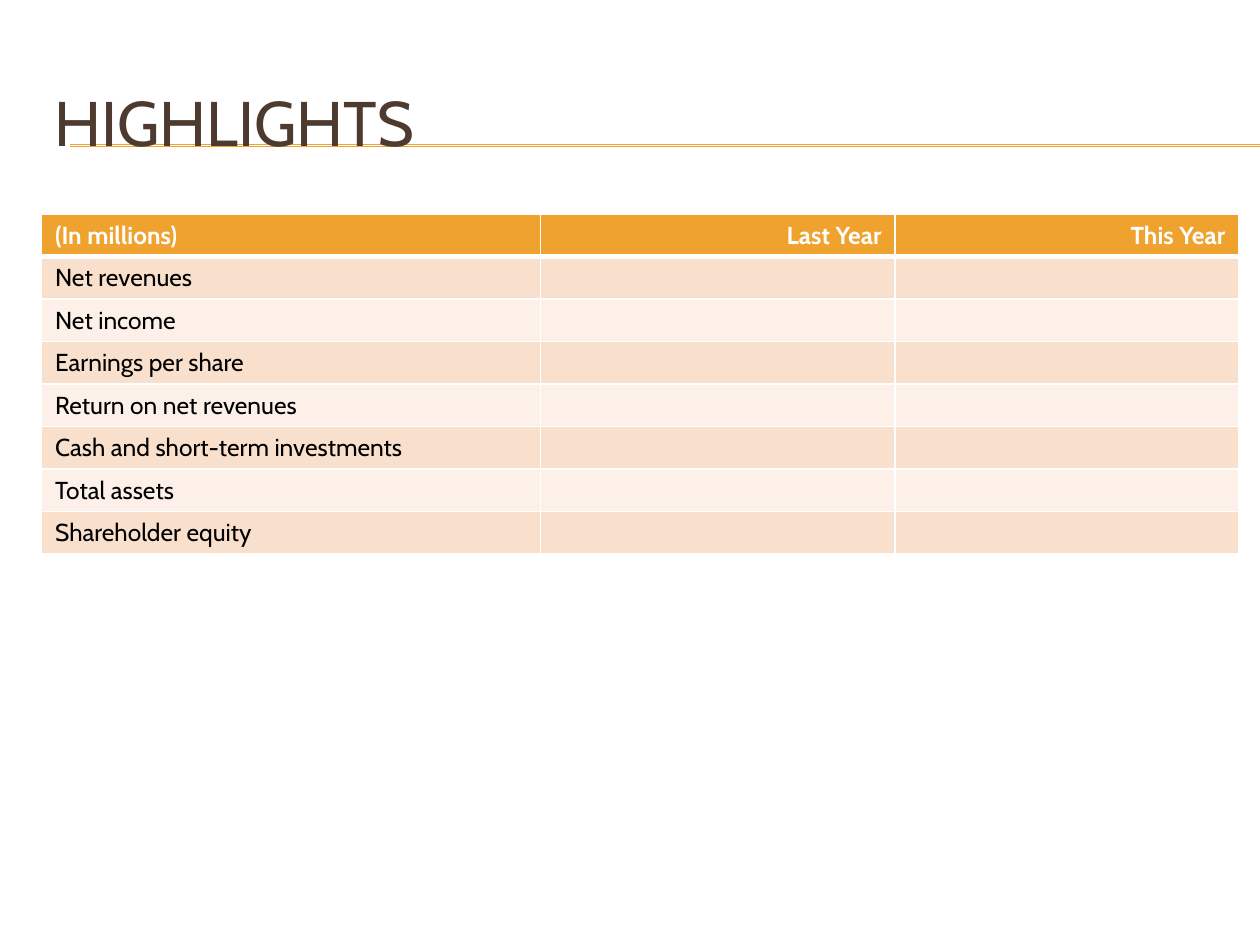
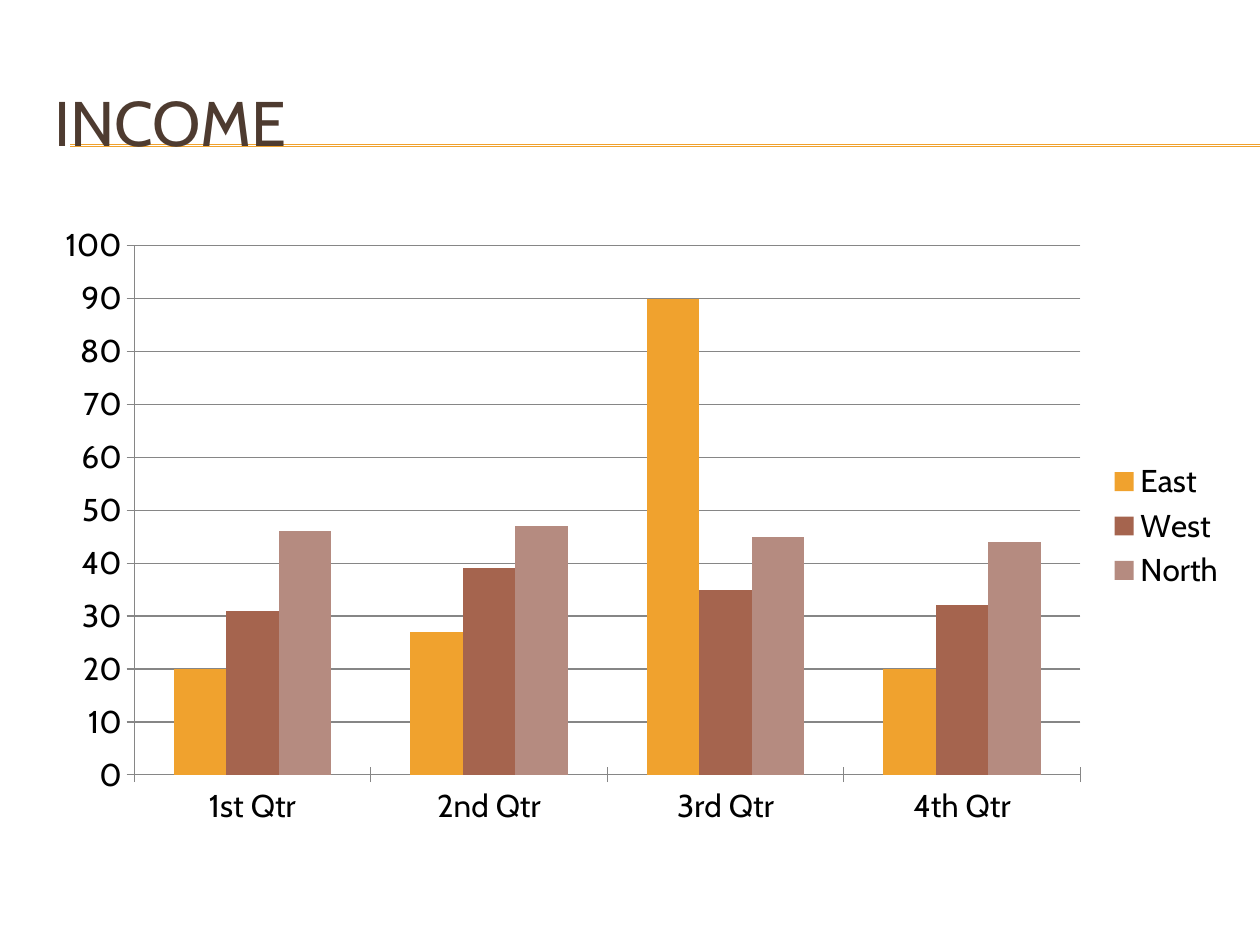
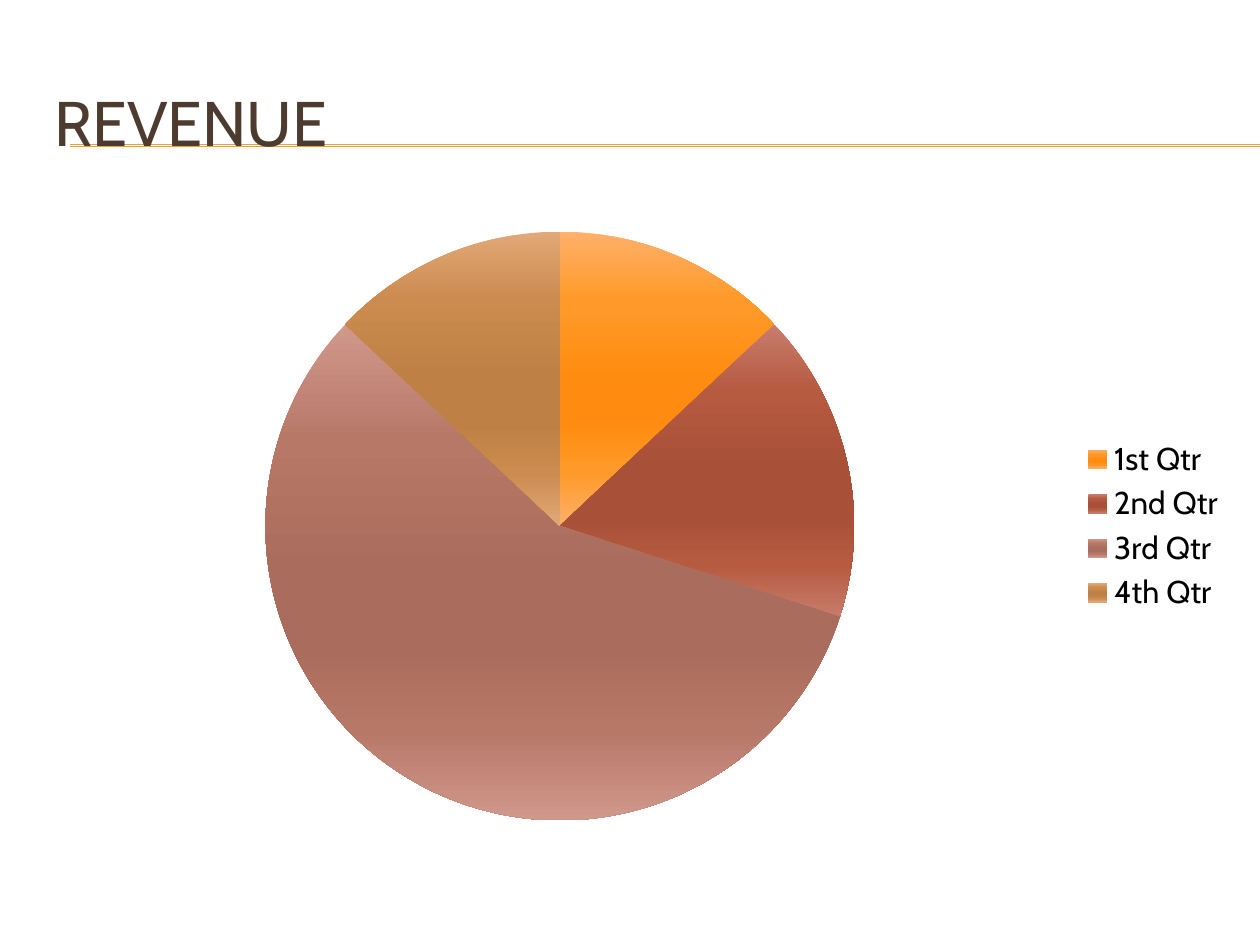
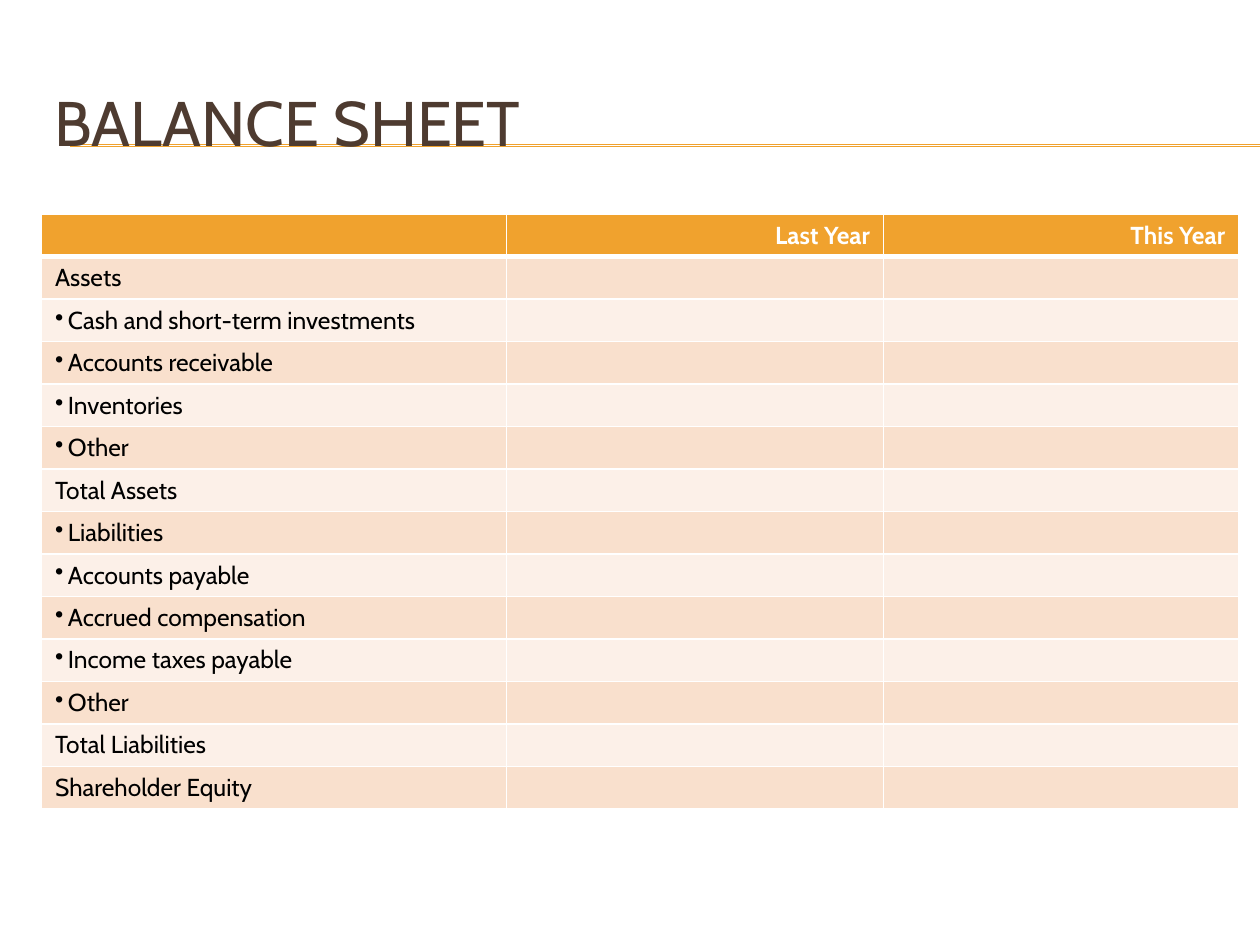
from lxml import etree
from pptx import Presentation
from pptx import util as u
from pptx.chart import data
from pptx.dml import color
from pptx.enum import chart as c, shapes, text
from pptx.oxml import ns, parse_xml

FONT = "Cabin"
ORANGE, BROWN, ROSE = "F0A22E", "A5644E", "B58B80"
TITLE, GRID, WHITE, BLACK = "4E3B30", "868686", "FFFFFF", "000000"
BANDS = ["FCF0E8", "F9E0CD"]
LEFT, TOP, WIDTH = u.Cm(0.84), u.Cm(4.32), u.Cm(24.13)
CHART_HEIGHT, ROW_HEIGHT = u.Cm(12.57), u.Cm(0.85)
QUARTERS = ["1st Qtr", "2nd Qtr", "3rd Qtr", "4th Qtr"]


def rgb(value):
    return color.RGBColor.from_string(value)


def set_font(font, size, shade, bold=False):
    font.name, font.size, font.bold = FONT, u.Pt(size), bold
    font.color.rgb = rgb(shade)


presentation = Presentation()
presentation.slide_width, presentation.slide_height = u.Cm(25.4), u.Cm(19.05)
layout = presentation.slide_layouts.get_by_name("Title Only")
layout_title = layout.placeholders[0]
layout_title.left, layout_title.top = LEFT, u.Cm(1.27)
layout_title.width, layout_title.height = WIDTH, u.Cm(2.34)

slides = []
for heading in ["HIGHLIGHTS", "INCOME", "REVENUE", "BALANCE SHEET"]:
    slide = presentation.slides.add_slide(layout)
    slide.shapes.title.text_frame.text = heading
    paragraph = slide.shapes.title.text_frame.paragraphs[0]
    paragraph.alignment = text.PP_ALIGN.LEFT
    set_font(paragraph.runs[0].font, 36, TITLE)
    slides.append(slide)
highlights, income, revenue, balance = slides

# The rules are drawn once and moved to the shared layout.
for height in (2.92, 2.95):
    rule = highlights.shapes.add_connector(
        shapes.MSO_CONNECTOR.STRAIGHT, u.Cm(1.42), u.Cm(height), u.Cm(25.4), u.Cm(height))
    rule.line.color.rgb, rule.line.width = rgb(ORANGE), u.Pt(0.75)
    etree.SubElement(rule._element.spPr, ns.qn("a:effectLst"))
    layout.shapes._spTree.append(rule._element)

highlight_rows = ["(In millions)", "Net revenues", "Net income", "Earnings per share",
                  "Return on net revenues", "Cash and short-term investments",
                  "Total assets", "Shareholder equity"]
balance_rows = ["", "Assets", "• Cash and short-term investments", "• Accounts receivable",
                "• Inventories", "• Other", "Total Assets", "• Liabilities",
                "• Accounts payable", "• Accrued compensation", "• Income taxes payable",
                "• Other", "Total Liabilities", "Shareholder Equity"]
tables = [(highlights, highlight_rows, [10.06, 7.14, 6.93]),
          (balance, balance_rows, [9.37, 7.6, 7.16])]

for slide, labels, widths in tables:
    table = slide.shapes.add_table(
        len(labels), 3, LEFT, TOP, WIDTH, ROW_HEIGHT * len(labels)).table
    for column, width in zip(table.columns, widths):
        column.width = u.Cm(width)
    for row_index, label in enumerate(labels):
        header = row_index == 0
        table.rows[row_index].height = ROW_HEIGHT
        values = [label, "Last Year", "This Year"] if header else [label, "", ""]
        for column_index, value in enumerate(values):
            cell = table.cell(row_index, column_index)
            cell.margin_left = cell.margin_right = u.Cm(0.27)
            cell.fill.solid()
            cell.fill.fore_color.rgb = rgb(ORANGE if header else BANDS[row_index % 2])
            paragraph = cell.text_frame.paragraphs[0]
            paragraph.text = value.removeprefix("• ")
            if column_index:
                paragraph.alignment = text.PP_ALIGN.RIGHT
            for run in paragraph.runs:
                set_font(run.font, 14, WHITE if header else BLACK, header)
            if value.startswith("•"):
                properties = paragraph._p.get_or_add_pPr()
                properties.set("marL", str(u.Cm(0.26)))
                properties.set("indent", str(-u.Cm(0.26)))
                etree.SubElement(properties, ns.qn("a:buChar"), char="•")
            if not value:
                etree.SubElement(paragraph._p, ns.qn("a:endParaRPr"), sz="1400")
            for position, side in enumerate(["lnL", "lnR", "lnT", "lnB"]):
                thick = (header and side == "lnB") or (row_index == 1 and side == "lnT")
                border = parse_xml(
                    f'<a:{side} {ns.nsdecls("a")} w="{u.Pt(3 if thick else 1)}"><a:solidFill>'
                    f'<a:srgbClr val="{WHITE}"/></a:solidFill></a:{side}>')
                cell._tc.get_or_add_tcPr().insert(position, border)

income_series = [("East", [20, 27, 90, 20], ORANGE),
                 ("West", [31, 39, 35, 32], BROWN),
                 ("North", [46, 47, 45, 44], ROSE)]
revenue_series = [("Series 1", [13, 17, 57, 13], ORANGE)]
charts = []
for slide, kind, series_list in [(income, c.XL_CHART_TYPE.COLUMN_CLUSTERED, income_series),
                                 (revenue, c.XL_CHART_TYPE.PIE, revenue_series)]:
    chart_data = data.CategoryChartData()
    chart_data.categories = QUARTERS
    for name, values, shade in series_list:
        chart_data.add_series(name, values)
    chart = slide.shapes.add_chart(kind, LEFT, TOP, WIDTH, CHART_HEIGHT, chart_data).chart
    set_font(chart.font, 18, BLACK)
    chart.has_title = False
    chart.has_legend = True
    chart.legend.position = c.XL_LEGEND_POSITION.RIGHT
    chart.legend.include_in_layout = False
    charts.append(chart)
columns, pie = charts

columns.plots[0].vary_by_categories = False
columns.plots[0].gap_width = 150
for series, (name, values, shade) in zip(columns.plots[0].series, income_series):
    series.format.fill.solid()
    series.format.fill.fore_color.rgb = rgb(shade)
value_axis = columns.value_axis
value_axis.minimum_scale, value_axis.maximum_scale, value_axis.major_unit = 0, 100, 10
value_axis.has_major_gridlines = True
value_axis.major_gridlines.format.line.color.rgb = rgb(GRID)
for axis in (columns.category_axis, value_axis):
    axis.major_tick_mark = c.XL_TICK_MARK.CROSS
    axis.format.line.color.rgb = rgb(GRID)

pie.plots[0].vary_by_categories = True
wedges = [("FFB06A", "FF9A2A", "FF8C10"), ("C87C6C", "B65A40", "A85038"),
          ("D0988C", "B87868", "AA6C5C"), ("E2A878", "CC8C50", "BE8044")]
for index, (light, middle, dark) in enumerate(wedges):
    stops = "".join(
        f'<a:gs pos="{percent * 1000}"><a:srgbClr val="{shade}"/></a:gs>'
        for percent, shade in [(0, light), (23, middle), (50, dark),
                               (65, dark), (82, middle), (100, light)])
    point = pie.plots[0].series[0].points[index]
    point.format.line.fill.background()
    point._element.find(f".//{ns.qn('c:dPt')}[{index + 1}]/{ns.qn('c:spPr')}").insert(
        0, parse_xml(f'<a:gradFill {ns.nsdecls("a")} rotWithShape="1"><a:gsLst>{stops}</a:gsLst>'
                     '<a:lin ang="5400000" scaled="0"/></a:gradFill>'))

presentation.save("out.pptx")
